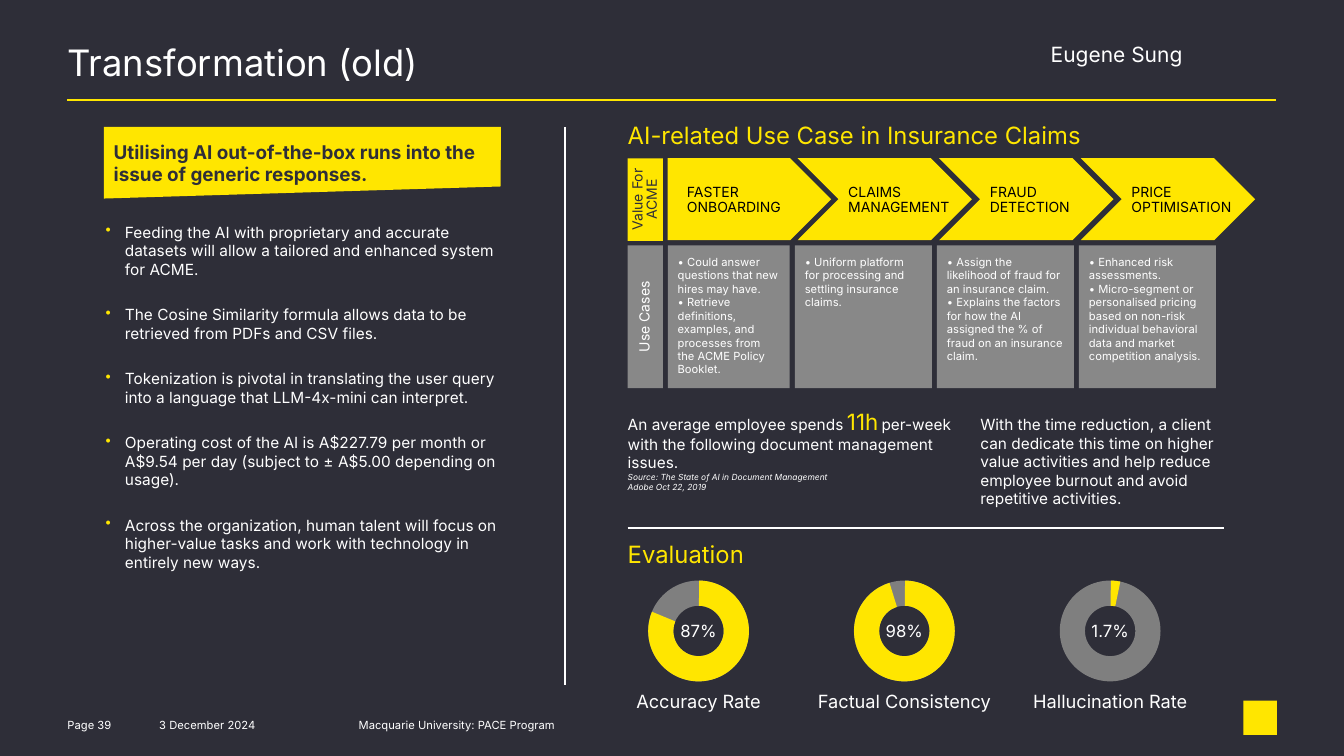
from lxml.etree import SubElement
from pptx import Presentation
from pptx.dml.color import RGBColor
from pptx.enum.shapes import MSO_CONNECTOR, MSO_SHAPE
from pptx.enum.text import MSO_ANCHOR, MSO_AUTO_SIZE, PP_ALIGN
from pptx.oxml.ns import qn
from pptx.util import Pt

DARK = RGBColor(0x2E, 0x2E, 0x38)
YELLOW = RGBColor(0xFF, 0xE6, 0x00)
WHITE = RGBColor(0xFF, 0xFF, 0xFF)
BLACK = RGBColor(0x00, 0x00, 0x00)
GREY = RGBColor(0x88, 0x88, 0x88)
RING_GREY = RGBColor(0x7F, 0x7F, 0x7F)
FONT = "Inter"


def add_span(para, text, size=11, color=WHITE, bold=False, italic=False):
    span = para.add_run()
    span.text = text
    span.font.name = FONT
    span.font.size = Pt(size)
    span.font.color.rgb = color
    span.font.bold = bold
    span.font.italic = italic


class SlideBuilder:
    """Holds the slide and draws styled elements; lengths are in points."""

    def __init__(self, slide):
        self.slide = slide
        self.shapes = slide.shapes
        slide.background.fill.solid()
        slide.background.fill.fore_color.rgb = DARK

    def set_text(self, frame, paras, inset=(0, 0, 0, 0), anchor=MSO_ANCHOR.TOP,
                 align=PP_ALIGN.LEFT, spacing=None, gap=0, bullets=False, **style):
        """Each paragraph is a string or a list of (text, format) spans."""
        frame.word_wrap = True
        frame.auto_size = MSO_AUTO_SIZE.NONE
        frame.vertical_anchor = anchor
        (frame.margin_left, frame.margin_top,
         frame.margin_right, frame.margin_bottom) = map(Pt, inset)
        for index, content in enumerate([paras] if isinstance(paras, str) else paras):
            para = frame.add_paragraph() if index else frame.paragraphs[0]
            para.alignment = align
            if spacing:
                para.line_spacing = spacing
            if index and gap:
                para.space_before = Pt(gap)
            if bullets:
                self.add_bullet(para)
            spans = [(content, {})] if isinstance(content, str) else content
            for text, changes in spans:
                add_span(para, text, **{**style, **changes})

    def add_bullet(self, para):
        properties = para._p.get_or_add_pPr()
        properties.set("marL", str(Pt(14.4)))
        properties.set("indent", str(-Pt(13.7)))
        color = SubElement(properties, qn("a:buClr"))
        SubElement(color, qn("a:srgbClr")).set("val", str(YELLOW))
        SubElement(properties, qn("a:buChar")).set("char", "•")

    def title(self, text, left, top, width, height, **style):
        box = self.shapes.title
        box.left, box.top, box.width, box.height = map(Pt, (left, top, width, height))
        self.set_text(box.text_frame, text, **style)

    def text(self, paras, left, top, width, height, **style):
        box = self.shapes.add_textbox(*map(Pt, (left, top, width, height)))
        self.set_text(box.text_frame, paras, **style)

    def paint(self, shape, fill):
        shape.shadow.inherit = False
        shape.fill.solid()
        shape.fill.fore_color.rgb = fill
        shape.line.fill.background()

    def shape(self, kind, left, top, width, height, fill, adjustments=(), rotation=0):
        shape = self.shapes.add_shape(kind, *map(Pt, (left, top, width, height)))
        self.paint(shape, fill)
        shape.rotation = rotation
        for index, value in enumerate(adjustments):
            shape.adjustments[index] = value
        return shape

    def upright_label(self, text, left, top, width, height, fill, color):
        """A box whose text reads upwards, given by its place on the slide."""
        shift = (height - width) / 2
        box = self.shape(MSO_SHAPE.RECTANGLE, left - shift, top + shift,
                         height, width, fill, rotation=270)
        self.set_text(box.text_frame, text, anchor=MSO_ANCHOR.MIDDLE,
                      align=PP_ALIGN.CENTER, spacing=0.85, size=10, color=color)

    def outline(self, points, fill):
        corners = [(Pt(x), Pt(y)) for x, y in points]
        builder = self.shapes.build_freeform(*corners[0])
        builder.add_line_segments(corners[1:], close=True)
        shape = builder.convert_to_shape()
        self.paint(shape, fill)
        return shape

    def line(self, x1, y1, x2, y2, color):
        line = self.shapes.add_connector(MSO_CONNECTOR.STRAIGHT,
                                         *map(Pt, (x1, y1, x2, y2)))
        line.line.color.rgb = color
        line.line.width = Pt(1.5)
        SubElement(line._element.spPr, qn("a:effectLst"))

    def gauge(self, center, label, value, share):
        ring = (center - 36, 414.7, 72, 72)
        start, turn = 108.47, 216  # block arc angles: 216 units make a full turn
        self.shape(MSO_SHAPE.DONUT, *ring, RING_GREY, (0.25,))
        self.shape(MSO_SHAPE.BLOCK_ARC, *ring, YELLOW,
                   (start, (start + share * turn) % turn, 0.25), rotation=90)
        self.text(value, center - 18.3, 443.5, 36.6, 14.4, align=PP_ALIGN.CENTER, size=12)
        self.text(label, center - 71.6, 494.6, 143.2, 13, anchor=MSO_ANCHOR.MIDDLE,
                  align=PP_ALIGN.CENTER, size=13)


STAGES = [
    ("FASTER ONBOARDING",
     ["• Could answer questions that new hires may have.",
      "• Retrieve definitions, examples, and processes from the ACME Policy Booklet."]),
    ("CLAIMS MANAGEMENT",
     ["• Uniform platform for processing and settling insurance claims."]),
    ("FRAUD DETECTION",
     ["• Assign the likelihood of fraud for an insurance claim.",
      "• Explains the factors for how the AI assigned the % of fraud on an insurance claim."]),
    ("PRICE OPTIMISATION",
     ["• Enhanced risk assessments.",
      "• Micro-segment or personalised pricing based on non-risk individual behavioral "
      "data and market competition analysis."]),
]
FINDINGS = [
    "Feeding the AI with proprietary and accurate datasets will allow a tailored and "
    "enhanced system for ACME.",
    "The Cosine Similarity formula allows data to be retrieved from PDFs and CSV files.",
    "Tokenization is pivotal in translating the user query into a language that "
    "LLM-4x-mini can interpret.",
    "Operating cost of the AI is A$227.79 per month or A$9.54 per day (subject to "
    "± A$5.00 depending on usage).",
    "Across the organization, human talent will focus on higher-value tasks and work "
    "with technology in entirely new ways.",
]
GAUGES = [("Accuracy Rate", "87%", 0.81), ("Factual Consistency", "98%", 0.95),
          ("Hallucination Rate", "1.7%", 0.03)]
TIME_SPENT = [
    [("An average employee spends", {}), (" ", {"size": 8}),
     ("11h", {"size": 16, "color": YELLOW}), (" ", {"size": 8}),
     ("per-week with the following document management issues.", {})],
    [("Source: The State of AI in Document Management", {"size": 6, "italic": True})],
    [("Adobe Oct 22, 2019", {"size": 6, "italic": True})],
]


def main():
    deck = Presentation()
    deck.slide_width, deck.slide_height = Pt(960.5), Pt(540)
    page = SlideBuilder(deck.slides.add_slide(deck.slide_layouts[5]))

    # Header
    page.title("Transformation (old)", 48.2, 23, 864.7, 46.8,
               anchor=MSO_ANCHOR.MIDDLE, spacing=0.85, size=26)
    page.text("Eugene Sung", 743.8, 22.3, 168.5, 32.4, inset=(7.2,) * 4, size=15)
    page.line(48.2, 71.3, 912.2, 71.3, YELLOW)

    # Footer, with a plain block in the corner
    for text, left, width in [("Page 39", 48.2, 60), ("3 December 2024", 113.8, 93.6),
                              ("Macquarie University: PACE Program", 256.3, 243.4)]:
        page.text(text, left, 509.8, width, 14.4, inset=(0, 3.6, 0, 3.6), size=8)
    page.shape(MSO_SHAPE.RECTANGLE, 888.5, 500.4, 24, 24.5, YELLOW)

    # Left column
    banner = page.outline([(74.2, 90.7), (358, 90.7), (357.8, 133.2), (74.2, 141.8)], YELLOW)
    page.set_text(banner.text_frame,
                  "Utilising AI out-of-the-box runs into the issue of generic responses.",
                  inset=(7.2, 3.6, 7.2, 3.6), anchor=MSO_ANCHOR.MIDDLE,
                  size=13.5, color=DARK, bold=True)
    page.text(FINDINGS, 74.9, 159.1, 283.7, 262, bullets=True, gap=19.3)
    page.line(403.9, 90.7, 403.9, 489.6, WHITE)

    # Section headings
    for heading, top in [("AI-related Use Case in Insurance Claims", 80.6),
                         ("Evaluation", 380.2)]:
        page.text(heading, 448.6, top, 418.3, 31.7, anchor=MSO_ANCHOR.MIDDLE,
                  size=17, color=YELLOW)

    # Value chain with use cases
    page.upright_label("Value For ACME", 448.6, 113, 25.2, 59, YELLOW, DARK)
    page.upright_label("Use Cases", 448.6, 175.2, 25.2, 102, GREY, WHITE)
    for index, (stage, cases) in enumerate(STAGES):
        if index:
            kind, left, width = MSO_SHAPE.CHEVRON, 570 + 101.2 * (index - 1), 124.6
            label_left, card_left, card_width = left + 36.2, 568.1 + 101.5 * (index - 1), 97.9
        else:
            kind, left, width = MSO_SHAPE.PENTAGON, 477.2, 116.8
            label_left, card_left, card_width = 491, 477.2, 87.1
        page.shape(kind, left, 113, width, 58.6, YELLOW, (0.5,))
        page.text(stage, label_left, 130.3, 81.4, 23.8, inset=(0, 2.9, 0, 0),
                  spacing=0.85, size=10, color=BLACK)
        card = page.shape(MSO_SHAPE.RECTANGLE, card_left, 175.2, card_width, 102, GREY)
        page.set_text(card.text_frame, cases, inset=(7.2,) * 4, size=8)

    # Time saved
    page.text(TIME_SPENT, 448.6, 291.6, 252, 77)
    page.text("With the time reduction, a client can dedicate this time on higher value "
              "activities and help reduce employee burnout and avoid repetitive activities.",
              700.6, 296.6, 168.5, 80)
    page.line(448.6, 377.3, 874.8, 377.3, WHITE)

    # Evaluation gauges
    for index, gauge in enumerate(GAUGES):
        page.gauge(499.2 + 147.1 * index, *gauge)

    deck.save("out.pptx")


if __name__ == "__main__":
    main()
